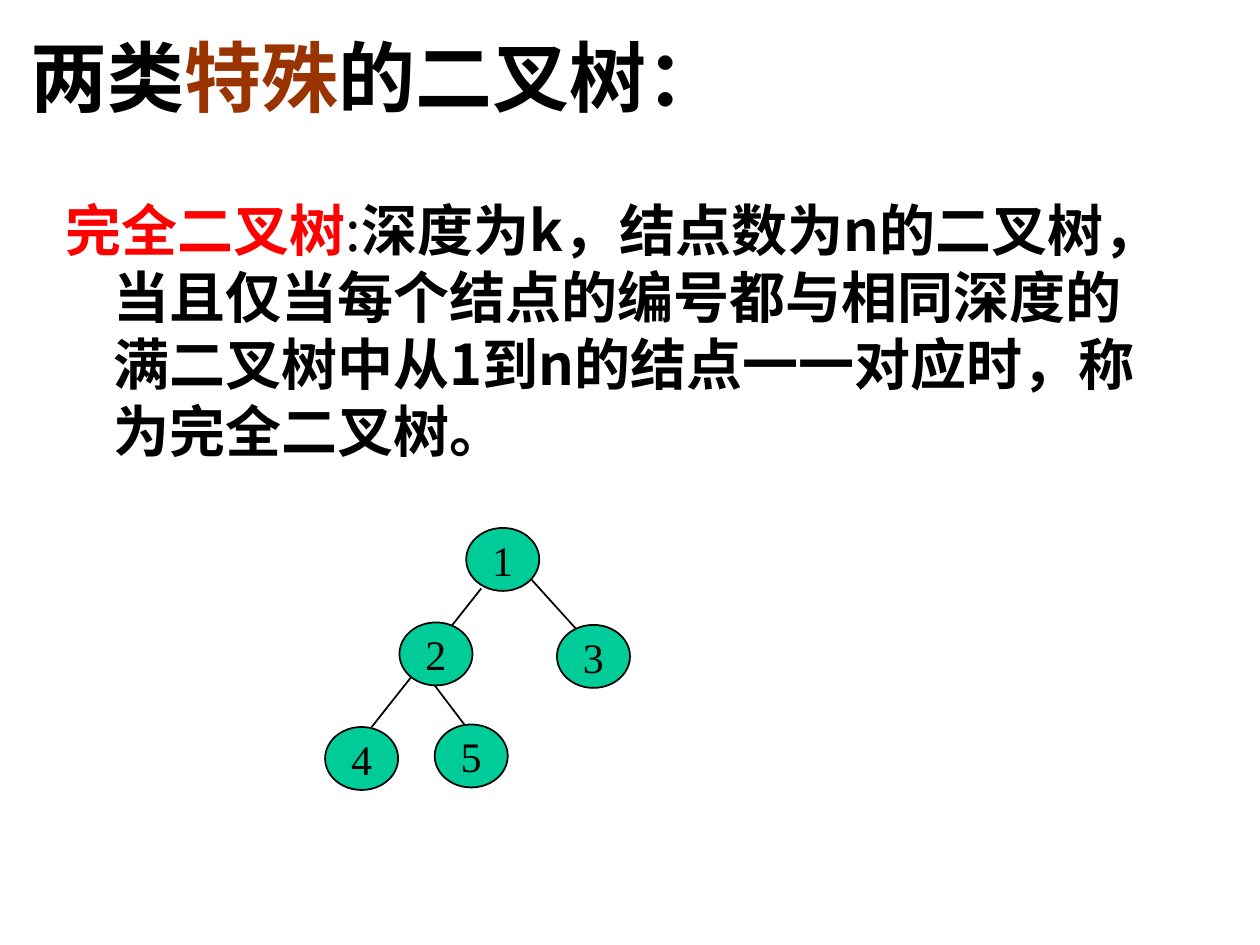
from pptx import Presentation
from pptx.dml.color import RGBColor
from pptx.enum.shapes import MSO_CONNECTOR, MSO_SHAPE
from pptx.enum.text import MSO_ANCHOR, PP_ALIGN
from pptx.oxml.ns import qn
from pptx.util import Inches, Pt

COLORS = {"ink": "000000", "accent": "993300", "term": "FF0000", "node": "00CC99"}
SANS = "Noto Sans CJK SC"
SERIF = "Times New Roman"
NODE_WIDTH, NODE_HEIGHT = 0.58, 0.5
NODES = {"1": (1.12, 0), "2": (0.59, 0.75), "3": (1.84, 0.77), "4": (0, 1.58), "5": (0.87, 1.56)}
EDGES = [((1.62, 0.39), (2, 0.81)), ((1.24, 0.48), (0.37, 1.58)), ((0.87, 1.25), (1.12, 1.58))]


def rgb(name):
    """Return the named palette colour."""
    return RGBColor.from_string(COLORS[name])


def add_text(paragraph, text, size, font=SERIF, color="ink", bold=False):
    """Append one formatted run to a paragraph."""
    run = paragraph.add_run()
    run.text = text
    run.font.size = Pt(size)
    run.font.bold = bold
    run.font.name = font
    run.font.color.rgb = rgb(color)
    east_asian = run._r.get_or_add_rPr().makeelement(qn("a:ea"), {"typeface": SANS})
    run.font._element.find(qn("a:latin")).addnext(east_asian)


def add_box(slide, left, top, width, height):
    """Add a wrapping text box and return its frame."""
    frame = slide.shapes.add_textbox(Inches(left), Inches(top), Inches(width), Inches(height)).text_frame
    frame.word_wrap = True
    return frame


def add_title(slide, left, top, width, height):
    """Place the slide title with its highlighted word."""
    frame = add_box(slide, left, top, width, height)
    frame.vertical_anchor = MSO_ANCHOR.BOTTOM
    heading = frame.paragraphs[0]
    heading.alignment = PP_ALIGN.CENTER
    for text, color in (("两类", "ink"), ("特殊", "accent"), ("的二叉树：", "ink")):
        add_text(heading, text, 44, color=color, bold=True)


def add_definition(slide, left, top, width, height):
    """Place the definition with a hanging indent."""
    definition = add_box(slide, left, top, width, height).paragraphs[0]
    properties = definition._p.get_or_add_pPr()
    properties.set("marL", str(Inches(0.38)))
    properties.set("indent", str(Inches(-0.38)))
    add_text(definition, "完全二叉树", 32, font=SANS, color="term", bold=True)
    add_text(definition, ":", 32, font=SANS)
    add_text(
        definition,
        "深度为k，结点数为n的二叉树，当且仅当每个结点的编号都与相同深度的"
        "满二叉树中从1到n的结点一一对应时，称为完全二叉树。",
        32, font=SANS, bold=True,
    )


def add_edge(slide, left, top, start, end):
    """Draw one branch of the tree."""
    edge = slide.shapes.add_connector(
        MSO_CONNECTOR.STRAIGHT,
        Inches(left + start[0]), Inches(top + start[1]),
        Inches(left + end[0]), Inches(top + end[1]),
    )
    edge.line.color.rgb = rgb("ink")
    edge.line.width = Pt(1)
    properties = edge._element.spPr
    properties.append(properties.makeelement(qn("a:effectLst"), {}))


def add_node(slide, left, top, label):
    """Draw one numbered node of the tree."""
    node = slide.shapes.add_shape(
        MSO_SHAPE.OVAL, Inches(left), Inches(top), Inches(NODE_WIDTH), Inches(NODE_HEIGHT)
    )
    node.shadow.inherit = False
    node.fill.solid()
    node.fill.fore_color.rgb = rgb("node")
    node.line.color.rgb = rgb("ink")
    node.line.width = Pt(1)
    frame = node.text_frame
    frame.word_wrap = False
    frame.vertical_anchor = MSO_ANCHOR.MIDDLE
    frame.paragraphs[0].alignment = PP_ALIGN.CENTER
    add_text(frame.paragraphs[0], label, 24)


def add_tree(slide, left, top):
    """Draw the branches, then the nodes over them."""
    for start, end in EDGES:
        add_edge(slide, left, top, start, end)
    for label, (x, y) in NODES.items():
        add_node(slide, left + x, top + y, label)


def main():
    """Build and save the slide."""
    deck = Presentation()
    deck.slide_width, deck.slide_height = Inches(10), Inches(7.5)
    slide = deck.slides.add_slide(deck.slide_layouts[6])
    add_definition(slide, 0.42, 1.5, 9, 1.85)
    add_title(slide, 0.12, 0.44, 5.75, 0.58)
    add_tree(slide, 2.58, 4.19)
    deck.save("out.pptx")


if __name__ == "__main__":
    main()
